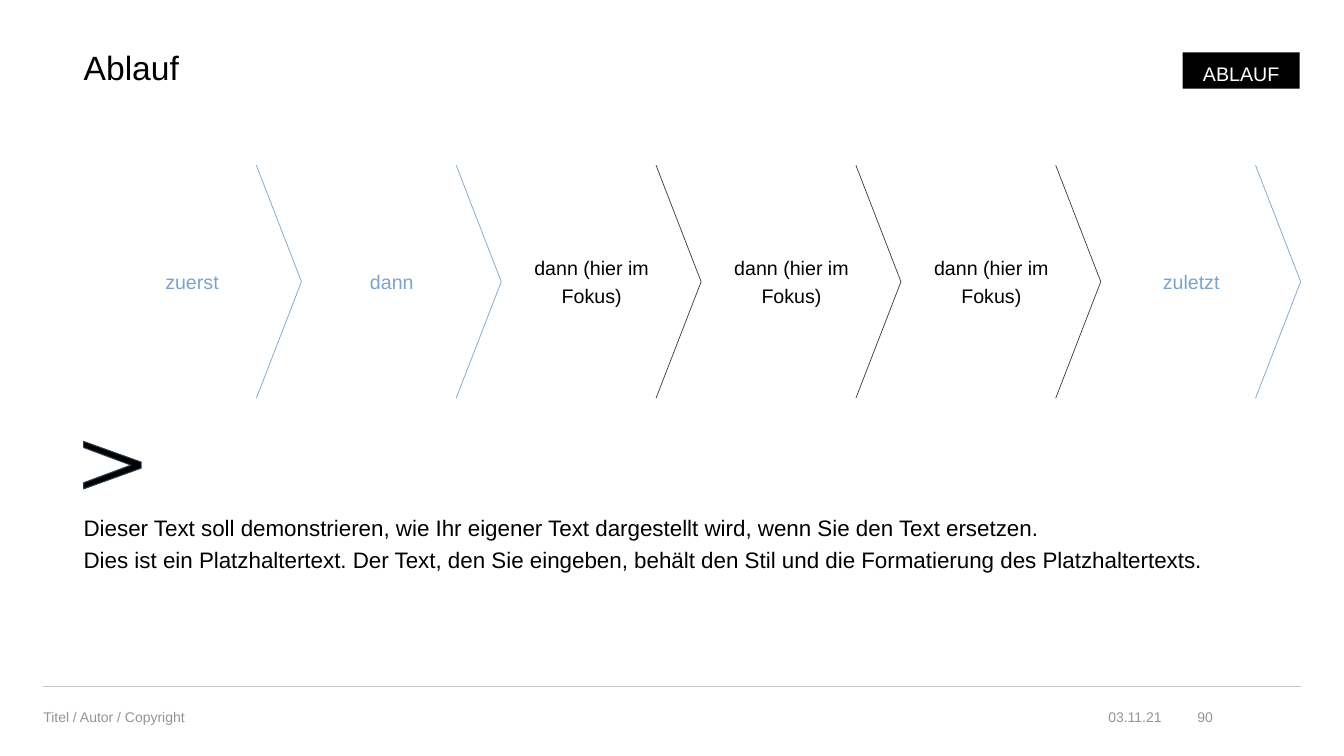
from lxml.etree import SubElement
from pptx import Presentation
from pptx.dml.color import RGBColor
from pptx.enum.shapes import MSO_CONNECTOR, MSO_SHAPE
from pptx.enum.text import MSO_ANCHOR, MSO_AUTO_SIZE, PP_ALIGN
from pptx.oxml.ns import qn
from pptx.util import Inches, Pt

BLACK = RGBColor(0x00, 0x00, 0x00)
WHITE = RGBColor(0xFF, 0xFF, 0xFF)
BLUE = RGBColor(0x7B, 0xA4, 0xCC)
NAVY = RGBColor(0x2C, 0x3E, 0x50)
GREY = RGBColor(0x94, 0x94, 0x94)
RULE_GREY = RGBColor(0xC5, 0xC5, 0xC5)

STEPS = [
    ("zuerst", False),
    ("dann", False),
    ("dann (hier im Fokus)", True),
    ("dann (hier im Fokus)", True),
    ("dann (hier im Fokus)", True),
    ("zuletzt", False),
]
BODY = (
    "Dieser Text soll demonstrieren, wie Ihr eigener Text dargestellt wird, "
    "wenn Sie den Text ersetzen.\v"
    "Dies ist ein Platzhaltertext. Der Text, den Sie eingeben, behält den Stil "
    "und die Formatierung des Platzhaltertexts."
)
SPACED = {"line_spacing": 1.2, "space_after": Pt(10)}


def write_text(shape, text, size, color, insets=(0, 0, 0, 0), frame_format=None, para_format=None):
    """Fill a shape with one paragraph; insets run left, top, right, bottom."""
    frame = shape.text_frame
    frame.text = text
    left, top, right, bottom = insets
    frame_values = {
        "word_wrap": True,
        "vertical_anchor": MSO_ANCHOR.TOP,
        "margin_left": Inches(left),
        "margin_top": Inches(top),
        "margin_right": Inches(right),
        "margin_bottom": Inches(bottom),
        **(frame_format or {}),
    }
    for name, value in frame_values.items():
        setattr(frame, name, value)
    para = frame.paragraphs[0]
    for name, value in {"alignment": PP_ALIGN.LEFT, **(para_format or {})}.items():
        setattr(para, name, value)
    for span in para.runs:
        for name, value in {"name": "Arial", "size": Pt(size)}.items():
            setattr(span.font, name, value)
        span.font.color.rgb = color


def add_line(page, start, end, color):
    line = page.shapes.add_connector(
        MSO_CONNECTOR.STRAIGHT, *(Inches(value) for value in (*start, *end))
    )
    line.line.color.rgb = color
    line.line.width = Pt(0.5)
    SubElement(line._element.spPr, qn("a:effectLst"))


def add_title(page, left, top, width, height):
    title = page.shapes.title
    position = {"left": left, "top": top, "width": width, "height": height}
    for name, value in position.items():
        setattr(title, name, Inches(value))
    write_text(title, "Ablauf", 24, BLACK,
               frame_format={"auto_size": MSO_AUTO_SIZE.SHAPE_TO_FIT_TEXT},
               para_format={"line_spacing": 0.9})


def add_badge(page, left, top, width, height):
    badge = page.shapes.add_shape(
        MSO_SHAPE.RECTANGLE, Inches(left), Inches(top), Inches(width), Inches(height)
    )
    badge.shadow.inherit = False
    badge.fill.solid()
    badge.fill.fore_color.rgb = BLACK
    badge.line.fill.background()
    write_text(badge, "ABLAUF", 14, WHITE, (0.2, 0.05, 0.2, 0.05),
               {"word_wrap": False, "auto_size": MSO_AUTO_SIZE.SHAPE_TO_FIT_TEXT},
               {"alignment": PP_ALIGN.RIGHT, **SPACED})


def add_step(page, left, top, width, height, text, focused):
    """Place a borderless chevron with its label and draw only its right edge."""
    chevron = page.shapes.add_shape(
        MSO_SHAPE.CHEVRON, Inches(left), Inches(top), Inches(width), Inches(height)
    )
    depth = 0.206
    chevron.adjustments[0] = depth
    chevron.shadow.inherit = False
    chevron.fill.background()
    chevron.line.fill.background()
    write_text(chevron, text, 14, BLACK if focused else BLUE, (0, 0, 0, 0.05),
               {"vertical_anchor": MSO_ANCHOR.MIDDLE},
               {"alignment": PP_ALIGN.CENTER, **SPACED})
    tip = (left + width, top + height / 2)
    shoulder = left + width - depth * min(width, height)
    for edge in (top, top + height):
        add_line(page, (shoulder, edge), tip, NAVY if focused else BLUE)


def add_process(page, left, top, width, height):
    step_width = 2.17
    pitch = (width - step_width) / (len(STEPS) - 1)
    for index, (text, focused) in enumerate(STEPS):
        add_step(page, left + index * pitch, top, step_width, height, text, focused)


def add_arrow_mark(page, left, top, width, height):
    bar = 0.06
    right, bottom, middle = left + width, top + height, top + height / 2
    outline = [
        (left, top), (right, middle - bar / 2), (right, middle + bar / 2),
        (left, bottom), (left, bottom - bar), (right - 0.1, middle), (left, top + bar),
    ]
    points = [(Inches(x), Inches(y)) for x, y in outline]
    builder = page.shapes.build_freeform(*points[0])
    builder.add_line_segments(points[1:], close=True)
    mark = builder.convert_to_shape()
    mark.shadow.inherit = False
    mark.fill.solid()
    mark.fill.fore_color.rgb = BLACK
    mark.line.color.rgb = NAVY
    mark.line.width = Pt(0.75)


def add_text(page, left, top, width, height, text, size, color, **formats):
    box = page.shapes.add_textbox(Inches(left), Inches(top), Inches(width), Inches(height))
    write_text(box, text, size, color, **formats)


def add_footer(page, left, top, width, height):
    add_line(page, (left, top), (left + width, top), RULE_GREY)
    entries = [
        ("Titel / Autor / Copyright", 0, 6.07, PP_ALIGN.LEFT),
        ("03.11.21", 10.34, 0.75, PP_ALIGN.RIGHT),
        ("90", 11.29, 0.31, PP_ALIGN.RIGHT),
    ]
    gap = 0.11
    for text, offset, entry_width, alignment in entries:
        add_text(page, left + offset, top + gap, entry_width, height - gap, text, 10, GREY,
                 frame_format={"vertical_anchor": MSO_ANCHOR.MIDDLE},
                 para_format={"alignment": alignment})


def main():
    deck = Presentation()
    deck.slide_width, deck.slide_height = Inches(13.33), Inches(7.5)
    page = deck.slides.add_slide(deck.slide_layouts[5])
    add_footer(page, 0.43, 6.81, 12.47, 0.5)
    add_title(page, 0.83, 0.51, 12.07, 0.36)
    add_process(page, 0.82, 1.64, 12.08, 2.31)
    add_text(page, 0.83, 5, 12.07, 1.35, BODY, 16, BLACK,
             insets=(0, 0.05, 0.1, 0.05), para_format=SPACED)
    add_arrow_mark(page, 0.83, 4.38, 0.57, 0.47)
    add_badge(page, 11.73, 0.52, 1.16, 0.36)
    deck.save("out.pptx")


if __name__ == "__main__":
    main()
